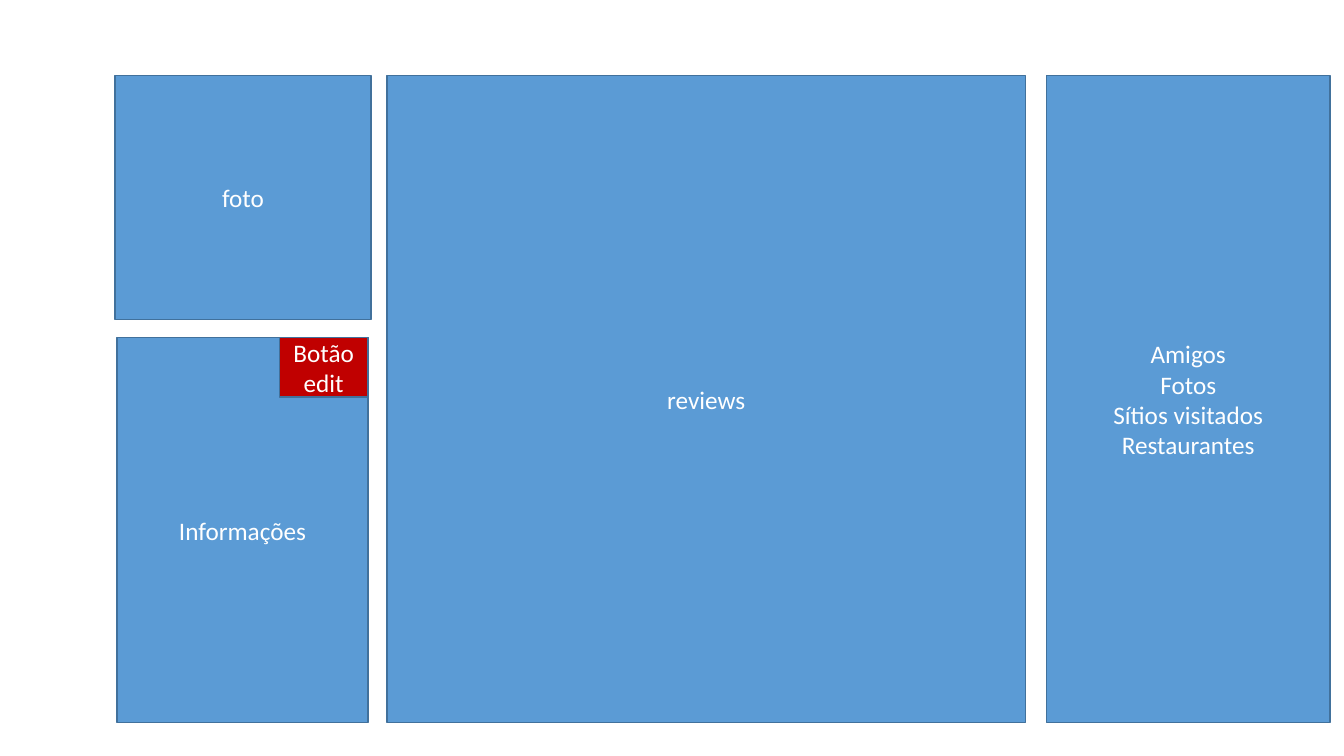
from dataclasses import dataclass

from pptx import Presentation
from pptx.dml.color import RGBColor
from pptx.enum.shapes import MSO_SHAPE
from pptx.enum.text import MSO_ANCHOR, PP_ALIGN
from pptx.slide import Slide
from pptx.util import Inches, Pt

RECTANGLE = MSO_SHAPE.RECTANGLE
MIDDLE = MSO_ANCHOR.MIDDLE
CENTER = PP_ALIGN.CENTER

COLORS = {"panel": "5B9BD5", "button": "C00000", "outline": "41719C", "text": "FFFFFF"}
FONT_NAME = "Calibri"
FONT_SIZE = Pt(18)

# Grid edges in inches
TOP, BOTTOM = 0.75, 7.17
PHOTO_BOTTOM = 3.17
INFO_TOP, INFO_RIGHT = 3.35, 3.65


@dataclass(frozen=True)
class Panel:
    text: str
    left: float
    top: float
    right: float
    bottom: float
    fill: str = "panel"


PANELS = [
    Panel("foto", 1.14, TOP, 3.68, PHOTO_BOTTOM),
    Panel("Informações", 1.16, INFO_TOP, INFO_RIGHT, BOTTOM),
    Panel("Amigos\nFotos\nSítios visitados\nRestaurantes", 10.38, TOP, 13.19, BOTTOM),
    Panel("Botão edit", 2.77, INFO_TOP, INFO_RIGHT, 3.94, "button"),
    Panel("reviews", 3.84, TOP, 10.17, BOTTOM),
]


def color(name: str) -> RGBColor:
    return RGBColor.from_string(COLORS[name])


def draw_panel(slide: Slide, panel: Panel) -> None:
    shape = slide.shapes.add_shape(
        RECTANGLE,
        Inches(panel.left),
        Inches(panel.top),
        Inches(panel.right - panel.left),
        Inches(panel.bottom - panel.top),
    )
    shape.shadow.inherit = False
    shape.fill.solid()
    shape.fill.fore_color.rgb = color(panel.fill)
    shape.line.color.rgb = color("outline")
    shape.line.width = Pt(1)

    # Centred label
    text_frame = shape.text_frame
    text_frame.text = panel.text
    text_frame.word_wrap = True
    text_frame.vertical_anchor = MIDDLE
    for paragraph in text_frame.paragraphs:
        paragraph.alignment = CENTER
        for run in paragraph.runs:
            run.font.name = FONT_NAME
            run.font.size = FONT_SIZE
            run.font.color.rgb = color("text")


def main() -> None:
    presentation = Presentation()
    presentation.slide_width = Inches(13.33)
    presentation.slide_height = Inches(7.5)
    slide = presentation.slides.add_slide(presentation.slide_layouts[6])

    # Page wireframe, back to front
    for panel in PANELS:
        draw_panel(slide, panel)

    presentation.save("out.pptx")


if __name__ == "__main__":
    main()
